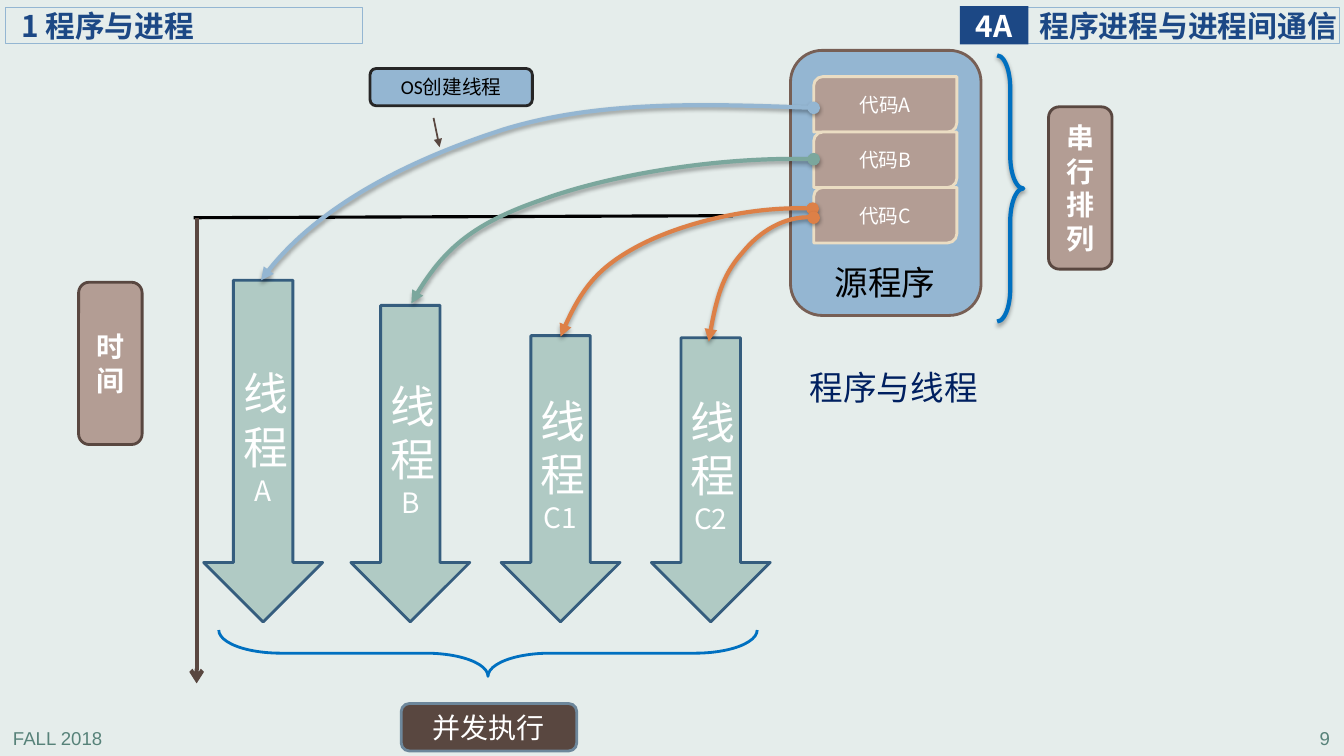
"""Build the slide that shows how one program becomes concurrent threads."""
from dataclasses import dataclass

from lxml import etree
from pptx import Presentation
from pptx import util as u
from pptx.dml.color import RGBColor
from pptx.enum import shapes, text
from pptx.oxml.ns import qn

Kind = shapes.MSO_SHAPE
Align = text.PP_ALIGN
Anchor = text.MSO_ANCHOR


@dataclass(frozen=True)
class Theme:
    """Colours, fonts and type sizes of the slide."""
    background: str = "E5EDEB"
    navy: str = "1C4885"
    title: str = "002060"
    sky: str = "94B6D2"
    green: str = "7BA79D"
    orange: str = "DD8047"
    mint: str = "B0CAC4"
    steel: str = "355D7E"
    slate: str = "6D879B"
    taupe: str = "B39D94"
    brown: str = "594740"
    umber: str = "775F55"
    sand: str = "EBDDC3"
    blue: str = "0070C0"
    footer: str = "578279"
    charcoal: str = "262626"
    black: str = "000000"
    white: str = "FFFFFF"
    cjk: str = "Noto Sans CJK SC"
    latin: str = "Calibri"
    footer_font: str = "Arial"
    thread_size: float = 32
    title_size: float = 24
    header_size: float = 21.3
    label_size: float = 20
    code_size: float = 14
    footer_size: float = 13.3


class SlideBuilder:
    """Draws each kind of element on the current slide in one style."""

    def __init__(self, slide, theme):
        self.slide = slide
        self.theme = theme
        slide.background.fill.solid()
        slide.background.fill.fore_color.rgb = RGBColor.from_string(theme.background)

    def add_runs(self, frame, runs, color, font=None, bold=False, align=Align.CENTER):
        """Fill a text frame with (words, size) runs."""
        paragraph = frame.paragraphs[0]
        paragraph.alignment = align
        for words, size in runs:
            run = paragraph.add_run()
            run.text = words
            run.font.size = u.Pt(size)
            run.font.bold = bold
            run.font.name = font or self.theme.cjk
            run.font.color.rgb = RGBColor.from_string(color)
            east_asian = etree.SubElement(run.font._element, qn("a:ea"))
            east_asian.set("typeface", self.theme.cjk)
        return paragraph

    def outline(self, line, color, width, head=None, tail=None):
        """Set a line's colour, width and arrowheads."""
        line.color.rgb = RGBColor.from_string(color)
        line.width = u.Pt(width)
        for tag, kind in (("a:headEnd", head), ("a:tailEnd", tail)):
            if kind:
                etree.SubElement(line._ln, qn(tag)).set("type", kind)

    def cast_shadow(self, shape):
        """Give a shape a soft shadow below it."""
        effects = shape._element.spPr.find(qn("a:effectLst"))
        shadow = etree.SubElement(effects, qn("a:outerShdw"), blurRad=str(u.Pt(3.1)),
                                  dist=str(u.Pt(1.8)), dir="5400000", rotWithShape="0")
        color = etree.SubElement(shadow, qn("a:srgbClr"), val=self.theme.black)
        etree.SubElement(color, qn("a:alpha"), val="35000")

    def shape(self, kind, box, fill=None, line=None, width=2.0, adjust=(), rotation=0):
        """Add a preset shape at (left, top, width, height)."""
        shape = self.slide.shapes.add_shape(kind, *map(u.Inches, box))
        shape.shadow.inherit = False
        shape.rotation = rotation
        for index, value in enumerate(adjust):
            shape.adjustments[index] = value
        if fill:
            shape.fill.solid()
            shape.fill.fore_color.rgb = RGBColor.from_string(fill)
        else:
            shape.fill.background()
        if line:
            self.outline(shape.line, line, width)
        else:
            shape.line.fill.background()
        return shape

    def label(self, kind, box, runs, fill, line, color=None, font=None, bold=False):
        """Add a filled shape with centred words."""
        shape = self.shape(kind, box, fill, line)
        shape.text_frame.vertical_anchor = Anchor.MIDDLE
        shape.text_frame.word_wrap = True
        self.add_runs(shape.text_frame, runs, color or self.theme.white, font, bold)

    def header(self, box, words, color, indent=0, fill=None, line=None,
               align=Align.LEFT, wrap=True):
        """Add a bold box of the header strip."""
        strip = self.shape(Kind.RECTANGLE, box, fill, line, 0.75)
        frame = strip.text_frame
        frame.margin_left = u.Inches(indent)
        frame.margin_right = frame.margin_top = frame.margin_bottom = 0
        frame.vertical_anchor = Anchor.MIDDLE
        frame.word_wrap = wrap
        self.add_runs(frame, [(words, self.theme.header_size)], color, bold=True, align=align)

    def text(self, box, words, size, color, font=None, align=Align.LEFT, wrap=True):
        """Add a plain text box."""
        frame = self.slide.shapes.add_textbox(*map(u.Inches, box)).text_frame
        frame.word_wrap = wrap
        self.add_runs(frame, [(words, size)], color, font, align=align)

    def title(self, box, words):
        """Move and fill the title placeholder."""
        title = self.slide.shapes.title
        title.left, title.top, title.width, title.height = map(u.Inches, box)
        frame = title.text_frame
        frame.margin_left = frame.margin_right = u.Inches(0.08)
        frame.margin_top = frame.margin_bottom = u.Inches(0.04)
        frame.vertical_anchor = Anchor.MIDDLE
        frame.word_wrap = True
        frame.auto_size = text.MSO_AUTO_SIZE.NONE
        runs = [(words, self.theme.title_size)]
        self.add_runs(frame, runs, self.theme.title, align=Align.LEFT).line_spacing = 0.9

    def line(self, start, end, color, width, tail=None):
        """Add a straight line or arrow."""
        ends = map(u.Inches, (*start, *end))
        line = self.slide.shapes.add_connector(shapes.MSO_CONNECTOR.STRAIGHT, *ends)
        self.outline(line.line, color, width, tail=tail)
        etree.SubElement(line._element.spPr, qn("a:effectLst"))

    def curve(self, points, color):
        """Add a Bezier arrow; after the start, points come in threes."""
        start, *controls = [tuple(map(u.Inches, point)) for point in points]
        builder = self.slide.shapes.build_freeform(*start)
        builder.add_line_segments(controls, close=False)
        curve = builder.convert_to_shape()
        segments = list(curve._element.iter(qn("a:lnTo")))
        for first in range(0, len(segments), 3):
            bezier = etree.Element(qn("a:cubicBezTo"))
            segments[first].addprevious(bezier)
            for segment in segments[first:first + 3]:
                bezier.append(segment[0])
                segment.getparent().remove(segment)
        curve.fill.background()
        curve.shadow.inherit = False
        self.outline(curve.line, color, 3, head="oval", tail="triangle")
        self.cast_shadow(curve)


def main():
    """Build and save the slide."""
    deck = Presentation()
    deck.slide_width, deck.slide_height = u.Inches(13.33), u.Inches(7.5)
    theme = Theme()
    page = SlideBuilder(deck.slides.add_slide(deck.slide_layouts[5]), theme)

    for left, words, align in ((0.03, "FALL 2018", Align.LEFT), (10.51, "9", Align.RIGHT)):
        page.text((left, 7.16, 2.78, 0.31), words, theme.footer_size, theme.footer,
                  theme.footer_font, align)
    page.header((10.19, 0.07, 3.1, 0.36), "程序进程与进程间通信", theme.navy, 0.12, line=theme.sky)
    page.header((9.52, 0.06, 0.68, 0.38), "4A", theme.white, fill=theme.navy,
                align=Align.CENTER, wrap=False)
    page.header((0.05, 0.07, 3.55, 0.36), "1 程序与进程", theme.navy, 0.16, line=theme.sky)
    page.title((7.95, 3.43, 1.84, 0.87), "程序与线程")

    page.line((1.92, 2.16), (7.27, 2.14), theme.black, 2.25)
    page.line((1.95, 2.16), (1.95, 6.78), theme.brown, 3, "arrow")
    threads_bottom = 6.17
    for name, left, top in (("A", 2.02, 2.78), ("B", 3.48, 3.03),
                            ("C1", 4.97, 3.33), ("C2", 6.46, 3.35)):
        page.label(Kind.DOWN_ARROW, (left, top, 1.18, threads_bottom - top),
                   [("线程", theme.thread_size), (name, theme.label_size)],
                   theme.mint, theme.steel)

    page.shape(Kind.ROUNDED_RECTANGLE, (7.84, 0.5, 1.89, 2.63), theme.sky, theme.umber)
    code_height = 0.55
    for row, name in enumerate("ABC"):
        page.label(Kind.ROUND_2_DIAG_RECTANGLE,
                   (8.07, 0.76 + row * code_height, 1.42, code_height),
                   [("代码" + name, theme.code_size)], theme.taupe, theme.sand)
    page.text((8.18, 2.55, 1.21, 0.5), "源程序", theme.title_size, theme.black, wrap=False)

    for color, *points in (
            (theme.sky, (8.07, 1.07), (7, 1.03), (5.93, 1), (5.01, 1.28),
             (4.1, 1.57), (3.1, 2.06), (2.59, 2.78)),
            (theme.green, (8.07, 1.58), (7.13, 1.55), (6.04, 1.74), (5.38, 1.98),
             (4.71, 2.21), (4.37, 2.49), (4.08, 3.01)),
            (theme.orange, (8.06, 2.07), (7.47, 2.04), (6.79, 2.21), (6.37, 2.42),
             (5.96, 2.63), (5.75, 2.87), (5.56, 3.34)),
            (theme.orange, (8.07, 2.16), (7.82, 2.13), (7.54, 2.29), (7.37, 2.5),
             (7.19, 2.7), (7.1, 2.94), (7.03, 3.39))):
        page.curve(points, color)

    page.label(Kind.ROUNDED_RECTANGLE, (3.67, 0.68, 1.61, 0.37),
               [("OS创建线程", theme.code_size)],
               theme.sky, theme.charcoal, theme.black, theme.latin)
    page.line((4.3, 1.17), (4.36, 1.46), theme.brown, 1.25, "triangle")
    page.shape(Kind.LEFT_BRACE, (4.61, 3.81, 0.46, 5.34), line=theme.blue,
               adjust=(1.34, 0.5), rotation=270)
    serial_brace = page.shape(Kind.RIGHT_BRACE, (9.89, 0.55, 0.26, 2.64), line=theme.blue,
                              width=3, adjust=(1.25, 0.5))
    page.cast_shadow(serial_brace)
    for words, left, top in (("串行排列", 10.4, 1.06), ("时间", 0.78, 2.8)):
        page.label(Kind.ROUNDED_RECTANGLE, (left, top, 0.63, 1.61),
                   [(words, theme.label_size)], theme.taupe, theme.brown, bold=True)
    page.label(Kind.FLOWCHART_ALTERNATE_PROCESS, (3.98, 6.98, 1.74, 0.47),
               [("并发执行", theme.label_size)], theme.brown, theme.slate)
    deck.save("out.pptx")


if __name__ == "__main__":
    main()
